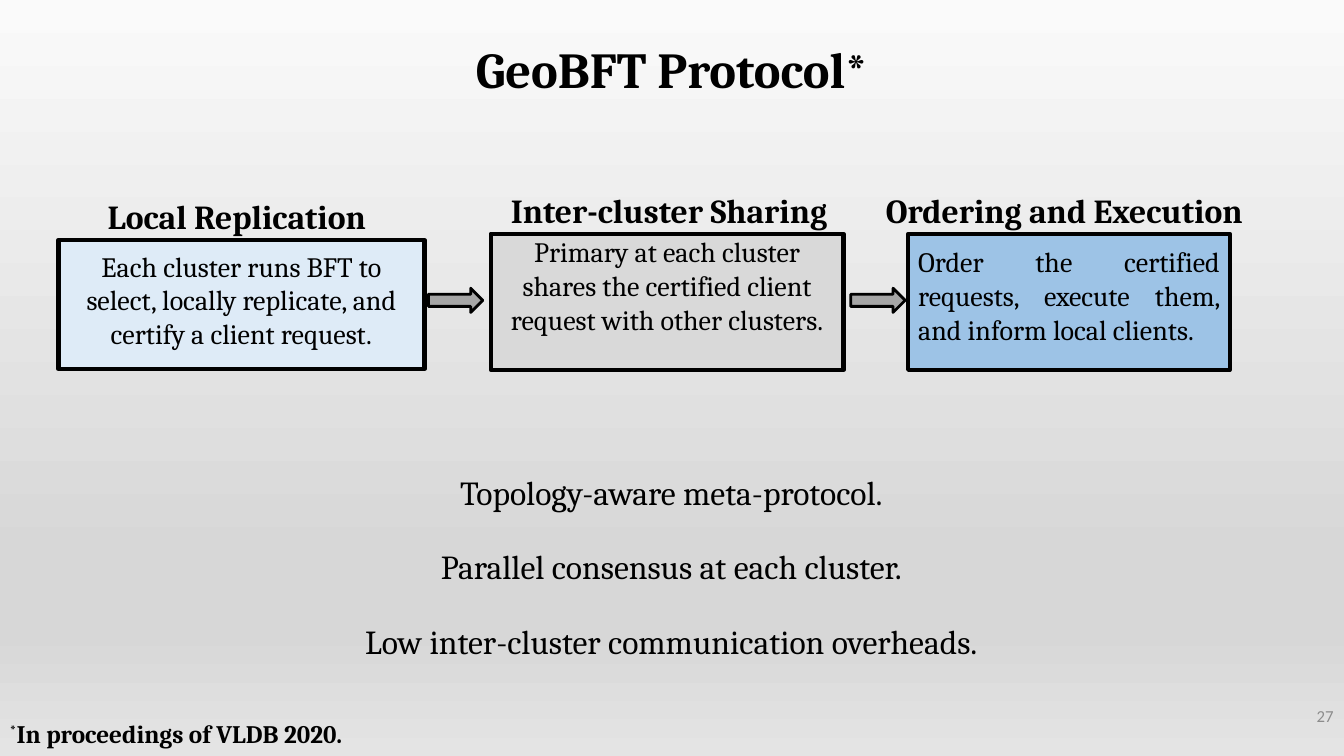
from lxml import etree
from pptx import Presentation
from pptx import util as u
from pptx.dml.color import RGBColor
from pptx.enum import shapes, text
from pptx.oxml import parse_xml
from pptx.oxml.ns import qn

COLORS = {"ink": "000000", "local": "DEEBF7", "sharing": "D9D9D9",
          "ordering": "9DC3E6", "arrow": "A6A6A6", "number": "8C8C8C"}
BACKGROUND = [(0, "FAFAFA"), (74, "D7D7D7"), (83, "D7D7D7"), (100, "E4E4E4")]
TITLE = "GeoBFT Protocol*"
CENTER, JUSTIFY = text.PP_ALIGN.CENTER, text.PP_ALIGN.JUSTIFY
STEPS = [
    {"heading": "Local Replication", "heading_box": (69.8, 136.1, 209, 36),
     "body": "Each cluster runs BFT to select, locally replicate, and certify a client request.",
     "box": (41.8, 171.4, 261.4, 92.2), "top": 6.5, "fill": "local", "align": CENTER},
    {"heading": "Inter-cluster Sharing", "heading_box": (357.8, 132.3, 244, 36),
     "body": "Primary at each cluster shares the certified client request with other clusters.",
     "box": (350.6, 167, 252, 97.2), "top": 0.7, "fill": "sharing", "align": CENTER},
    {"heading": "Ordering and Execution", "heading_box": (625.7, 132.1, 279.4, 36),
     "body": "Order the certified requests, execute them, and inform local clients.",
     "box": (648.7, 167, 229.7, 97.2), "top": 8, "fill": "ordering", "align": JUSTIFY},
]
ARROW_LEFTS = [306, 607.7]
ARROW_TOP, ARROW_SIZE = 205.9, (38.9, 17.3)
POINTS = ["Topology-aware meta-protocol.", "Parallel consensus at each cluster.",
          "Low inter-cluster communication overheads."]
FOOTNOTE = ("*", "In proceedings of VLDB 2020.")
PAGE = "27"


def color(name):
    return RGBColor.from_string(COLORS[name])


def style(font, size, name="Cambria", ink="ink", bold=False):
    for key, value in {"size": u.Pt(size), "name": name, "bold": bold}.items():
        setattr(font, key, value)
    font.color.rgb = color(ink)


def place(shape, box):
    for key, value in zip(("left", "top", "width", "height"), box):
        setattr(shape, key, u.Pt(value))


def write(frame, lines, size, align=text.PP_ALIGN.LEFT, anchor=text.MSO_ANCHOR.TOP,
          spacing=None, before=0, bold=False):
    frame.word_wrap = True
    frame.vertical_anchor = anchor
    for index, line in enumerate(lines):
        paragraph = frame.paragraphs[0] if index == 0 else frame.add_paragraph()
        paragraph.alignment = align
        if spacing:
            paragraph.line_spacing = spacing
        if index:
            paragraph.space_before = u.Pt(before)
        run = paragraph.add_run()
        run.text = line
        style(run.font, size, bold=bold)


def add_text(slide, box, lines, size, **options):
    shape = slide.shapes.add_textbox(*map(u.Pt, box))
    write(shape.text_frame, lines, size, **options)
    return shape


def add_block(slide, kind, box, fill, weight):
    shape = slide.shapes.add_shape(kind, *map(u.Pt, box))
    shape.shadow.inherit = False
    shape.fill.solid()
    shape.fill.fore_color.rgb = color(fill)
    shape.line.color.rgb = color("ink")
    shape.line.width = u.Pt(weight)
    return shape


def paint_background(slide):
    fill = slide.background.fill
    fill.gradient()
    fill.gradient_angle = 270
    stops = slide.background._cSld.find(".//" + qn("a:gsLst"))
    for stop in list(stops):
        stops.remove(stop)
    for position, value in BACKGROUND:
        stop = etree.SubElement(stops, qn("a:gs"), pos=str(position * 1000))
        etree.SubElement(stop, qn("a:srgbClr"), val=value)


def add_page_number(slide):
    shape = slide.shapes.add_textbox(*map(u.Pt, (837.4, 496.8, 122.4, 28.8)))
    shape.text_frame.vertical_anchor = text.MSO_ANCHOR.MIDDLE
    paragraph = shape.text_frame.paragraphs[0]
    paragraph.alignment = text.PP_ALIGN.RIGHT
    paragraph._p.append(parse_xml(
        '<a:fld xmlns:a="http://schemas.openxmlformats.org/drawingml/2006/main" '
        'id="{B6F15528-21DE-4FAA-801E-634DDDAF4B2B}" type="slidenum">'
        f'<a:rPr lang="en-US" sz="1200"><a:solidFill><a:srgbClr val="{COLORS["number"]}"/>'
        f'</a:solidFill><a:latin typeface="Calibri"/></a:rPr><a:t>{PAGE}</a:t></a:fld>'))


def main():
    presentation = Presentation()
    presentation.slide_width, presentation.slide_height = u.Pt(960), u.Pt(540)
    presentation.element.set("firstSlideNum", PAGE)
    slide = presentation.slides.add_slide(presentation.slide_layouts[5])
    paint_background(slide)

    title = slide.shapes.title
    place(title, (0, 28.1, 960, 47.5))
    write(title.text_frame, [TITLE], 36, align=CENTER, anchor=text.MSO_ANCHOR.MIDDLE,
          spacing=0.9, bold=True)

    for step in STEPS:
        block = add_block(slide, shapes.MSO_SHAPE.RECTANGLE, step["box"], step["fill"], 3)
        block.text_frame.margin_top = u.Pt(step["top"])
        write(block.text_frame, [step["body"]], 20, align=step["align"])
        add_text(slide, step["heading_box"], [step["heading"]], 24, bold=True)

    for left in ARROW_LEFTS:
        add_block(slide, shapes.MSO_SHAPE.RIGHT_ARROW, (left, ARROW_TOP, *ARROW_SIZE), "arrow", 2)

    add_text(slide, (24.5, 319, 910, 154), POINTS, 24, align=CENTER, spacing=1.5, before=10)

    footnote = add_text(slide, (0, 511.9, 301.7, 26.6), FOOTNOTE[:1], 18, bold=True,
                        anchor=text.MSO_ANCHOR.BOTTOM, spacing=0.9)
    paragraph = footnote.text_frame.paragraphs[0]
    paragraph.runs[0].font._element.set("baseline", "30000")
    citation = paragraph.add_run()
    citation.text = FOOTNOTE[1]
    style(citation.font, 18, bold=True)

    add_page_number(slide)
    presentation.save("out.pptx")


if __name__ == "__main__":
    main()
